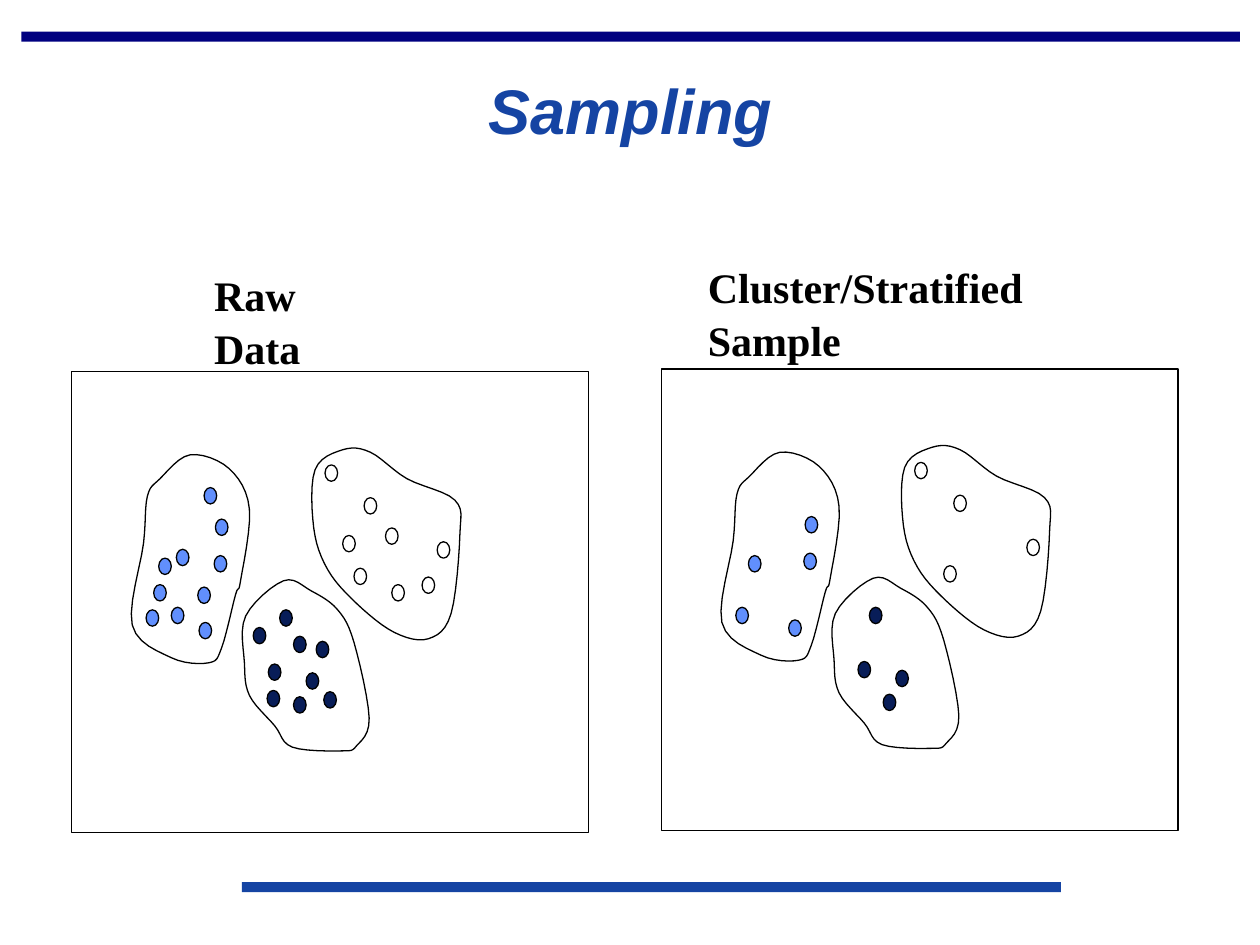
from dataclasses import dataclass

from pptx import Presentation
from pptx.dml.color import RGBColor
from pptx.enum.shapes import MSO_SHAPE as Preset
from pptx.enum.text import MSO_ANCHOR as Anchor, PP_ALIGN as Align
from pptx.shapes.base import BaseShape
from pptx.shapes.group import GroupShape
from pptx.slide import Slide
from pptx.util import Cm, Length, Pt

Point = tuple[float, float]
Box = tuple[float, float, float, float]

NAVY = RGBColor(0x00, 0x00, 0x80)
ROYAL = RGBColor(0x15, 0x44, 0xA3)
BLACK = RGBColor(0x00, 0x00, 0x00)
WHITE = RGBColor(0xFF, 0xFF, 0xFF)
MIDNIGHT = RGBColor(0x08, 0x1D, 0x58)
SKY = RGBColor(0x61, 0x8F, 0xFD)

CM_PER_INCH = 2.54
DOT_SIZE = (0.1, 0.13)
CURVE_STEPS = 6


@dataclass(frozen=True)
class Cluster:
    color: RGBColor
    sampled: tuple[Point, ...]
    unsampled: tuple[Point, ...]
    outline: tuple[Point, ...]


@dataclass(frozen=True)
class Panel:
    label: str
    label_box: Box
    offset: Point
    sample_only: bool


@dataclass(frozen=True)
class Bar:
    box: Box
    color: RGBColor


BARS = (
    Bar((0.17, 0.25, 9.67, 0.08), NAVY),
    Bar((1.92, 7, 6.5, 0.08), ROYAL),
)

PANELS = (
    Panel("Raw Data", (1.6, 2.07, 1.61, 0.5), (0, 0), False),
    Panel("Cluster/Stratified Sample", (5.52, 2.01, 3.57, 0.5), (4.68, -0.02), True),
)

CLUSTERS = (
    Cluster(
        WHITE,
        ((2.89, 3.95), (2.81, 4.51), (3.47, 4.3), (2.58, 3.69)),
        ((3.06, 4.19), (2.72, 4.25), (3.35, 4.58), (3.11, 4.64)),
        ((3.61, 3.97), (3.65, 4.24), (3.58, 4.87), (3.4, 5.07), (3.13, 5.02), (2.83, 4.79),
         (2.6, 4.52), (2.49, 4.19), (2.5, 3.73), (2.72, 3.57), (2.94, 3.59), (3.23, 3.8)),
    ),
    Cluster(
        MIDNIGHT,
        ((2.33, 5.53), (2.43, 5.34), (2.13, 5.27), (2.22, 4.84)),
        ((2.01, 4.98), (2.51, 5.09), (2.12, 5.48), (2.33, 5.05), (2.57, 5.49)),
        ((2.18, 5.76), (1.98, 5.52), (1.94, 5.26), (1.95, 4.89), (2.25, 4.61), (2.47, 4.69),
         (2.68, 4.84), (2.81, 5.1), (2.93, 5.7), (2.83, 5.92), (2.71, 5.96), (2.32, 5.93)),
    ),
    Cluster(
        SKY,
        ((1.16, 4.84), (1.26, 4.43), (1.58, 4.94), (1.7, 4.41), (1.71, 4.12)),
        ((1.36, 4.82), (1.22, 4.64), (1.57, 4.66), (1.4, 4.36), (1.62, 3.87)),
        ((1.87, 4.72), (1.76, 5.14), (1.66, 5.26), (1.36, 5.22), (1.05, 4.96), (1.14, 4.31),
         (1.17, 3.94), (1.27, 3.8), (1.51, 3.61), (1.82, 3.72), (1.98, 4.04), (1.91, 4.61)),
    ),
)


def lengths(*inches: float) -> tuple[Length, ...]:
    return tuple(Cm(value * CM_PER_INCH) for value in inches)


def style_shape(shape: BaseShape, fill: RGBColor | None, line: RGBColor | None) -> None:
    shape.shadow.inherit = False
    if fill is None:
        shape.fill.background()
    else:
        shape.fill.solid()
        shape.fill.fore_color.rgb = fill
    if line is None:
        shape.line.fill.background()
    else:
        shape.line.color.rgb = line
        shape.line.width = Pt(0.75)


def interpolate(before: float, start: float, end: float, after: float, t: float) -> float:
    linear = end - before
    square = 2 * before - 5 * start + 4 * end - after
    cube = 3 * (start - end) + after - before
    return start + (linear * t + square * t ** 2 + cube * t ** 3) / 2


def smooth_outline(knots: tuple[Point, ...]) -> list[Point]:
    points = []
    for index in range(len(knots)):
        neighbours = [knots[(index + shift) % len(knots)] for shift in (-1, 0, 1, 2)]
        xs, ys = zip(*neighbours)
        for step in range(CURVE_STEPS):
            t = step / CURVE_STEPS
            points.append((interpolate(*xs, t), interpolate(*ys, t)))
    return points


def add_cluster(group: GroupShape, cluster: Cluster, panel: Panel) -> None:
    dx, dy = panel.offset
    dots = cluster.sampled if panel.sample_only else cluster.sampled + cluster.unsampled
    for x, y in dots:
        dot = group.shapes.add_shape(
            Preset.FLOWCHART_CONNECTOR, *lengths(x + dx, y + dy, *DOT_SIZE))
        style_shape(dot, cluster.color, BLACK)
    points = [lengths(x + dx, y + dy) for x, y in smooth_outline(cluster.outline)]
    builder = group.shapes.build_freeform(*points[0])
    builder.add_line_segments(points[1:], close=True)
    style_shape(builder.convert_to_shape(), None, BLACK)


def add_text(slide: Slide, box: Box, text: str, size: int, font: str,
             color: RGBColor, spacing: float, title: bool = False) -> None:
    text_frame = slide.shapes.add_textbox(*lengths(*box)).text_frame
    text_frame.word_wrap = True
    text_frame.vertical_anchor = Anchor.MIDDLE if title else Anchor.TOP
    text_frame.text = text
    paragraph = text_frame.paragraphs[0]
    paragraph.alignment = Align.CENTER if title else Align.LEFT
    paragraph.line_spacing = spacing
    run_font = paragraph.runs[0].font
    run_font.name, run_font.size = font, Pt(size)
    run_font.bold, run_font.italic = True, title
    run_font.color.rgb = color


def add_panel(slide: Slide, panel: Panel) -> None:
    dx, dy = panel.offset
    group = slide.shapes.add_group_shape()
    frame = group.shapes.add_shape(Preset.RECTANGLE, *lengths(0.57 + dx, 2.95 + dy, 4.1, 3.66))
    style_shape(frame, None, BLACK)
    for cluster in CLUSTERS:
        add_cluster(group, cluster, panel)
    add_text(slide, panel.label_box, panel.label, 24, "Times New Roman", BLACK, 1.05)


def main() -> None:
    presentation = Presentation()
    presentation.slide_width, presentation.slide_height = lengths(10, 7.5)
    slide = presentation.slides.add_slide(presentation.slide_layouts[6])
    for bar in BARS:
        shape = slide.shapes.add_shape(Preset.RECTANGLE, *lengths(*bar.box))
        style_shape(shape, bar.color, None)
    add_text(slide, (0.17, 0.33, 9.67, 1.14), "Sampling", 36, "Arial", ROYAL, 0.95, title=True)
    for panel in PANELS:
        add_panel(slide, panel)
    presentation.save("out.pptx")


if __name__ == "__main__":
    main()
